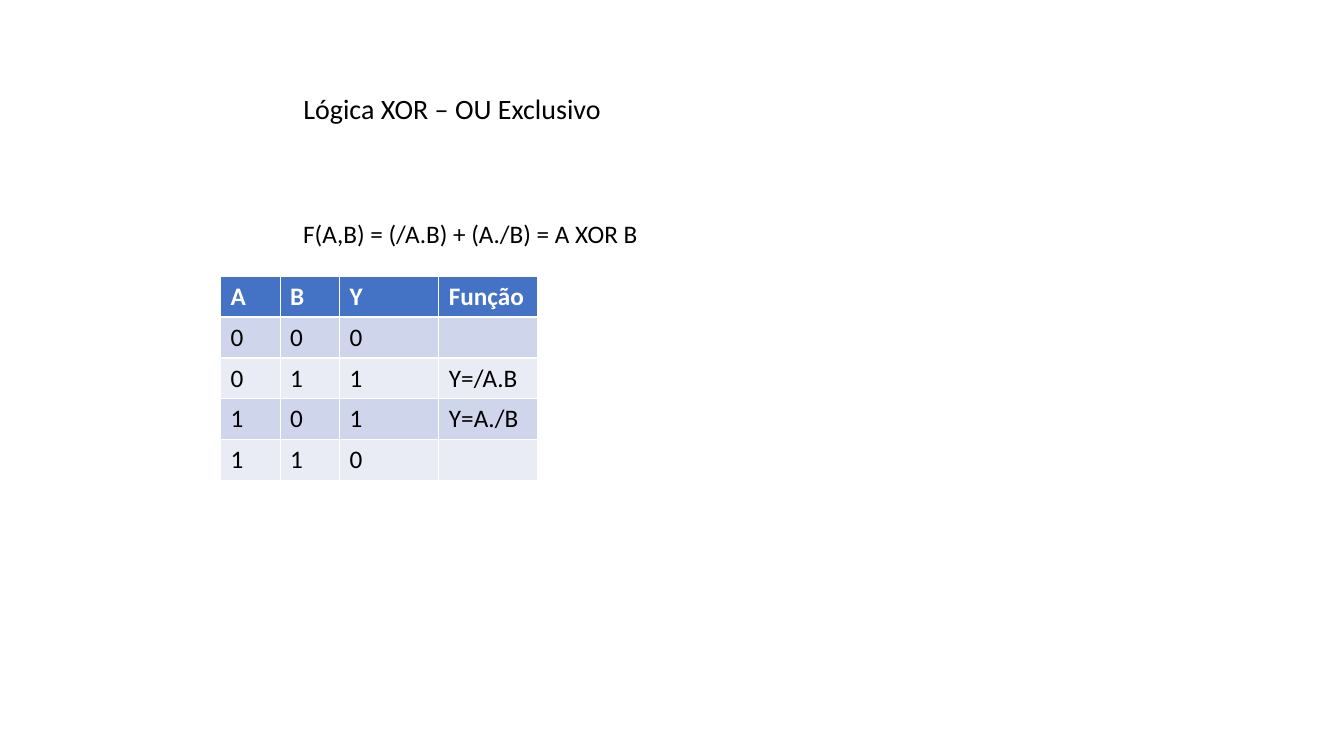
from pptx import Presentation
from pptx.dml.color import RGBColor
from pptx.enum.text import MSO_ANCHOR, MSO_AUTO_SIZE, PP_ALIGN
from pptx.util import Cm, Pt

BLACK = RGBColor(0x00, 0x00, 0x00)
WHITE = RGBColor(0xFF, 0xFF, 0xFF)
HEADER_BLUE = RGBColor(0x44, 0x72, 0xC4)
BAND_FILLS = (RGBColor(0xE9, 0xEB, 0xF5), RGBColor(0xCF, 0xD5, 0xEA))
FONT = "Calibri"

TRUTH_TABLE = (
    ("A", "B", "Y", "Função"),
    ("0", "0", "0", ""),
    ("0", "1", "1", "Y=/A.B"),
    ("1", "0", "1", "Y=A./B"),
    ("1", "1", "0", ""),
)
COLUMN_SHARES = (3, 3, 5, 5)


def format_paragraph(para, size, color=BLACK, bold=False):
    """Give a paragraph its font, size, colour and left alignment."""
    para.alignment = PP_ALIGN.LEFT
    para.font.name = FONT
    para.font.size = Pt(size)
    para.font.color.rgb = color
    para.font.bold = bold


def place_line(shape, text, size, left, top, width, height):
    """Move a text shape into its box and write one line at its top."""
    shape.left, shape.top, shape.width, shape.height = left, top, width, height
    frame = shape.text_frame
    frame.text = text
    frame.word_wrap = True
    frame.auto_size = MSO_AUTO_SIZE.NONE
    frame.vertical_anchor = MSO_ANCHOR.TOP
    format_paragraph(frame.paragraphs[0], size)


def add_heading(page, left, top, width):
    """Place the slide title and, below it, the XOR formula."""
    place_line(page.shapes.title, "Lógica XOR – OU Exclusivo", 20,
               left, top, width, Cm(1.12))
    formula_top = top + Cm(3.2)
    formula = page.shapes.add_textbox(left, formula_top, width, Cm(1.03))
    place_line(formula, "F(A,B) = (/A.B) + (A./B) = A XOR B", 18,
               left, formula_top, width, Cm(1.03))


def add_truth_table(page, left, top, width, height):
    """Fill the given box with the banded truth table."""
    table = page.shapes.add_table(
        len(TRUTH_TABLE), len(COLUMN_SHARES), left, top, width, height).table
    for column, share in zip(table.columns, COLUMN_SHARES):
        column.width = width * share // sum(COLUMN_SHARES)
    for row_index, values in enumerate(TRUTH_TABLE):
        is_header = row_index == 0
        for column_index, value in enumerate(values):
            cell = table.cell(row_index, column_index)
            cell.text = value
            cell.fill.solid()
            cell.fill.fore_color.rgb = (
                HEADER_BLUE if is_header else BAND_FILLS[row_index % 2])
            format_paragraph(cell.text_frame.paragraphs[0], 18,
                             WHITE if is_header else BLACK, is_header)


def main():
    """Build and save the slide."""
    deck = Presentation()
    deck.slide_width, deck.slide_height = Cm(33.87), Cm(19.05)
    page = deck.slides.add_slide(deck.slide_layouts.get_by_name("Title Only"))
    add_heading(page, Cm(7.39), Cm(2.18), Cm(16.54))
    add_truth_table(page, Cm(5.56), Cm(6.96), Cm(8), Cm(5.15))
    deck.save("out.pptx")


if __name__ == "__main__":
    main()
